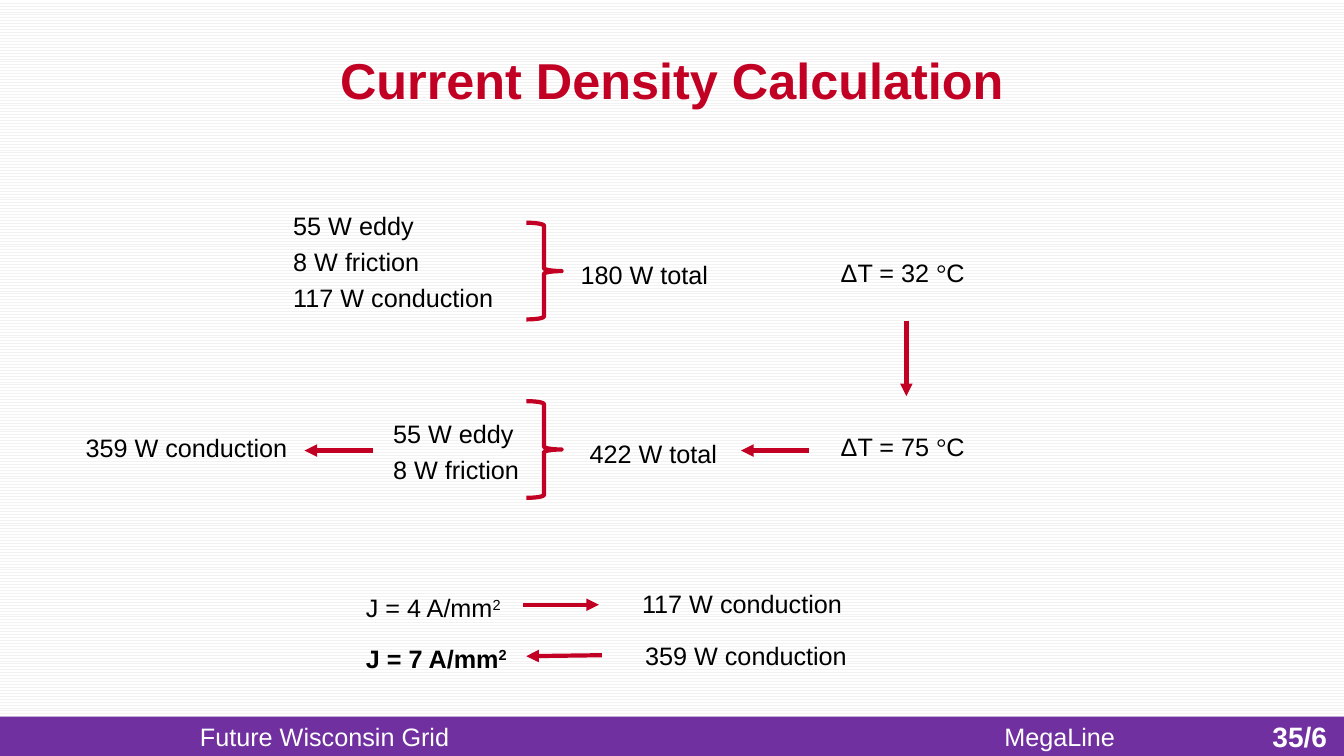
from pptx import Presentation
from pptx.dml.color import RGBColor
from pptx.enum.dml import MSO_PATTERN
from pptx.enum.shapes import MSO_CONNECTOR, MSO_SHAPE
from pptx.enum.text import MSO_ANCHOR, PP_ALIGN
from pptx.oxml.ns import qn
from pptx.util import Inches, Pt
from lxml.etree import SubElement

RED = RGBColor(0xC2, 0x00, 0x24)
PURPLE = RGBColor(0x70, 0x30, 0xA0)
GRAY = RGBColor(0xF2, 0xF2, 0xF2)
WHITE = RGBColor(0xFF, 0xFF, 0xFF)
BLACK = RGBColor(0x00, 0x00, 0x00)

deck = Presentation()
deck.slide_width, deck.slide_height = Inches(13.33), Inches(7.5)
slide = deck.slides.add_slide(deck.slide_layouts[6])
shapes = slide.shapes


def text(words, left, top, width, height, size=18, color=BLACK, bold=False,
         align=PP_ALIGN.LEFT, anchor=MSO_ANCHOR.TOP):
    """Lines part at a newline, runs at a bar; a run "2" is raised."""
    box = shapes.add_textbox(Inches(left), Inches(top), Inches(width), Inches(height))
    frame = box.text_frame
    frame.word_wrap = True
    frame.vertical_anchor = anchor
    for i, line in enumerate(words.split("\n")):
        para = frame.add_paragraph() if i else frame.paragraphs[0]
        para.alignment = align
        if i:
            para.space_before = Pt(4)
        for part in line.split("|"):
            run = para.add_run()
            run.text = part
            font = run.font
            font.name = "Times New Roman" if part == "°" else "Arial"
            font.size, font.bold = Pt(size), bold
            font.color.rgb = color
            if part == "2":
                run._r.get_or_add_rPr().set("baseline", "30000")


def arrow(x1, y1, x2, y2):
    link = shapes.add_connector(MSO_CONNECTOR.STRAIGHT, Inches(x1), Inches(y1),
                                Inches(x2), Inches(y2))
    link.line.color.rgb = RED
    link.line.width = Pt(3)
    SubElement(link.line._get_or_add_ln(), qn("a:tailEnd"), type="triangle")
    SubElement(link._element.spPr, qn("a:effectLst"))


# Background
back = slide.background.fill
back.patterned()
back.pattern = MSO_PATTERN.ZIG_ZAG
back.fore_color.rgb = GRAY
back.back_color.rgb = WHITE

# Footer
bar = shapes.add_shape(MSO_SHAPE.RECTANGLE, 0, Inches(7.11), Inches(13.33), Inches(0.39))
bar.shadow.inherit = False
bar.fill.solid()
bar.fill.fore_color.rgb = PURPLE
bar.line.fill.background()
mid = {"anchor": MSO_ANCHOR.MIDDLE, "align": PP_ALIGN.CENTER}
text("MegaLine", 7.69, 7.1, 5.64, 0.41, color=WHITE, **mid)
text("35/6", 12.25, 7.08, 1.01, 0.44, size=20, color=WHITE, bold=True,
     align=PP_ALIGN.RIGHT, anchor=MSO_ANCHOR.MIDDLE)
text("Future Wisconsin Grid", -0.04, 7.05, 6.52, 0.51, color=WHITE, **mid)

# Title
text("Current Density Calculation", 0, 0.29, 13.33, 1, size=36, color=RED, bold=True, **mid)

# Losses at each temperature rise
text("55 W eddy\n8 W friction\n117 W conduction", 2.81, 2.04, 2.32, 1.72)
text("180 W total", 5.66, 2.52, 2.17, 0.49)
text("ΔT = 32 |°|C", 8.24, 2.5, 1.79, 0.49)
text("359 W conduction", 0.75, 4.24, 2.67, 0.78)
text("55 W eddy\n8 W friction", 3.8, 4.1, 2.17, 0.78)
text("422 W total", 5.75, 4.3, 2.17, 0.49)
text("ΔT = 75 |°|C", 8.24, 4.23, 1.79, 0.49)

# Braces
for top in (2.21, 3.98):
    brace = shapes.add_shape(MSO_SHAPE.RIGHT_BRACE, Inches(5.22), Inches(top),
                             Inches(0.35), Inches(0.96))
    brace.shadow.inherit = False
    brace.fill.background()
    brace.line.color.rgb = RED
    brace.line.width = Pt(3)

# Current densities
text("J = 4 A/mm|2", 3.53, 5.83, 1.79, 0.49)
text("117 W conduction", 6.27, 5.79, 2.67, 0.78)
text("J = 7 A/mm|2", 3.53, 6.33, 1.79, 0.49, bold=True)
text("359 W conduction", 6.3, 6.3, 2.67, 0.78)

# Arrows
for ends in ((8.99, 3.18, 8.99, 3.93), (8.02, 4.47, 7.35, 4.47), (3.7, 4.47, 3.02, 4.47),
             (5.19, 6, 5.94, 6), (5.97, 6.5, 5.22, 6.51)):
    arrow(*ends)

deck.save("out.pptx")
